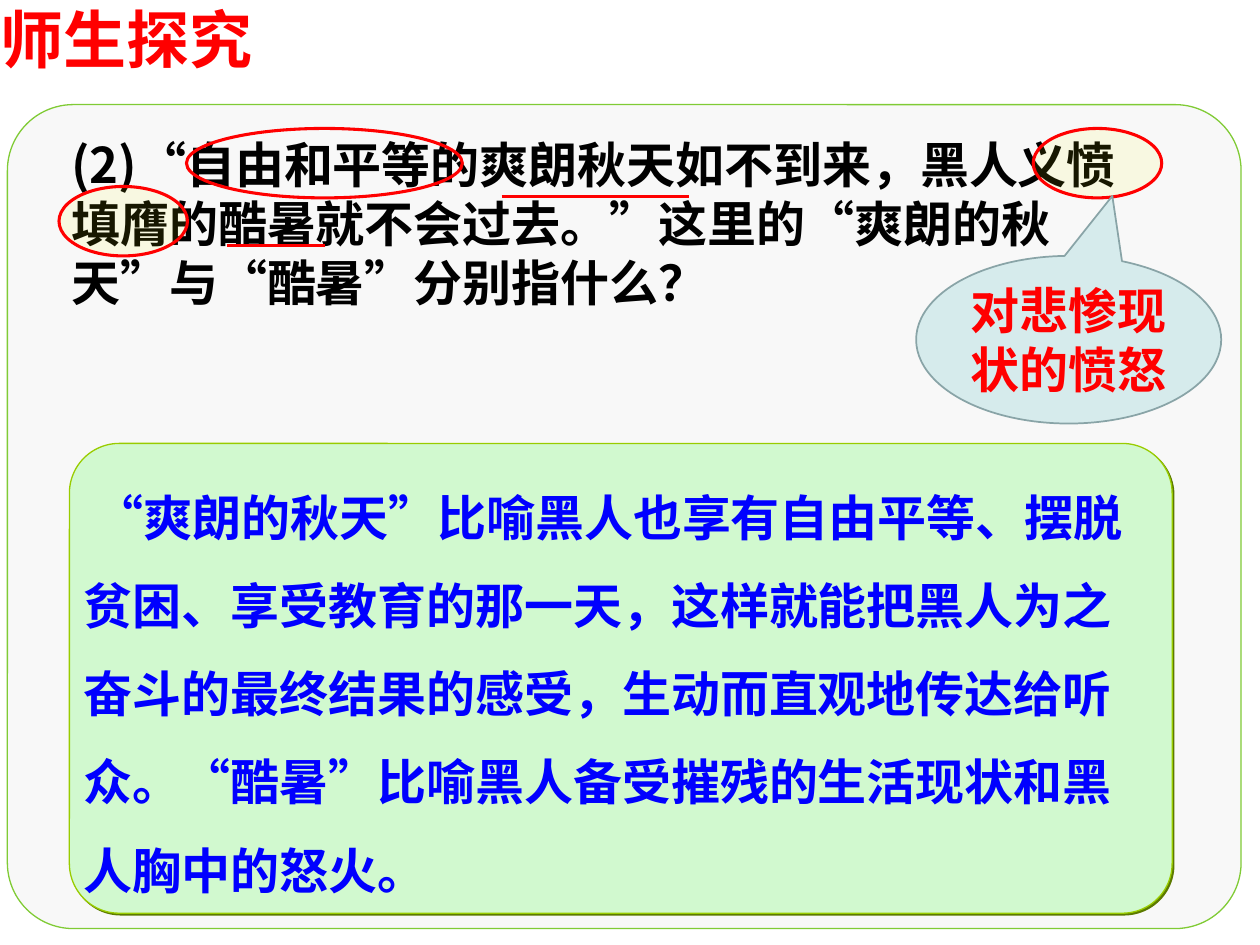
from lxml.etree import SubElement as Sub
from pptx import Presentation
from pptx.dml.color import RGBColor as Rgb
from pptx.enum.shapes import MSO_CONNECTOR as Link, MSO_SHAPE as Kind
from pptx.enum.text import MSO_ANCHOR as Anchor, MSO_AUTO_SIZE as Fit, PP_ALIGN as Align
from pptx.oxml import parse_xml
from pptx.oxml.ns import nsdecls, qn
from pptx.util import Cm, Pt

HUES = {
    "red": "FF0000", "blue": "0000FF", "black": "000000", "yellow": "FFFF00",
    "page": "F8F8F8", "rim": "80CB35", "mint": "D1F9CF", "lime": "99CC00",
    "moss": "5C7A00", "sky": "BBE0E3", "steel": "89A4A7", "grey": "808080",
}
SANS, CJK = "Arial", "Noto Sans CJK SC"


def hue(name):
    return Rgb.from_string(HUES[name])


def shade(color, dist):
    """Outer shadow towards the lower right, dist in points."""
    return parse_xml(
        f'<a:outerShdw {nsdecls("a")} dist="{Pt(dist)}" dir="2700000" algn="ctr" '
        f'rotWithShape="0"><a:srgbClr val="{HUES[color]}"/></a:outerShdw>')


class Board:
    def __init__(self, deck):
        self.slide = deck.slides.add_slide(deck.slide_layouts[5])
        self.items = self.slide.shapes

    def fill_text(self, shape, text, color, size=28, face=CJK, align=Align.LEFT,
                  anchor=Anchor.MIDDLE, pad=(0, 0), space=1.0, indent=0):
        frame = shape.text_frame
        frame.word_wrap, frame.auto_size = True, Fit.NONE
        frame.vertical_anchor = anchor
        frame.margin_left = frame.margin_right = Cm(pad[0])
        frame.margin_top = frame.margin_bottom = Cm(pad[1])
        para = frame.paragraphs[0]
        para.alignment, para.line_spacing = align, space
        if indent:
            para._p.get_or_add_pPr().set("indent", str(Cm(indent)))
        run = para.add_run()
        run.text = text
        font = run.font
        font.name, font.size, font.bold = face, Pt(size), True
        font.color.rgb = hue(color)
        props = run._r.get_or_add_rPr()
        props.set("lang", "zh-CN")
        Sub(props, qn("a:ea")).set("typeface", CJK)
        return props

    def title(self, text, box):
        shape = self.items.title
        shape.left, shape.top, shape.width, shape.height = map(Cm, box)
        props = self.fill_text(shape, text, "red", 36, SANS, anchor=Anchor.TOP)
        glow = parse_xml(f'<a:effectLst {nsdecls("a")}/>')
        glow.append(shade("grey", 2))
        props.find(qn("a:solidFill")).addnext(glow)

    def label(self, text, box, color, **style):
        self.fill_text(self.items.add_textbox(*map(Cm, box)), text, color, **style)

    def shape(self, kind, box, line, width, fill=None, alpha=100, adj=()):
        shape = self.items.add_shape(kind, *map(Cm, box))
        shape.shadow.inherit = False
        for i, value in enumerate(adj):
            shape.adjustments[i] = value
        shape.line.color.rgb, shape.line.width = hue(line), Pt(width)
        if fill is None:
            shape.fill.background()
            return shape
        shape.fill.solid()
        shape.fill.fore_color.rgb = hue(fill)
        if alpha < 100:
            tint = shape._element.spPr.find(qn("a:solidFill"))[0]
            Sub(tint, qn("a:alpha")).set("val", str(alpha * 1000))
        return shape

    def ring(self, box, fill=None):
        self.shape(Kind.OVAL, box, "red", 1.75, fill, 9)

    def rule(self, left, right, y):
        line = self.items.add_connector(
            Link.STRAIGHT, Cm(left), Cm(y), Cm(right), Cm(y))
        line.line.color.rgb, line.line.width = hue("red"), Pt(1.5)
        Sub(line._element.spPr, qn("a:effectLst"))


def main():
    deck = Presentation()
    deck.slide_width, deck.slide_height = Cm(25.4), Cm(19.05)
    board = Board(deck)

    board.title("师生探究", (0, 0, 8.51, 1.52))
    board.shape(Kind.ROUNDED_RECTANGLE, (0.15, 2.11, 24.87, 16.61),
                "rim", 0.75, "page", adj=[0.08])
    board.label("(2)“自由和平等的爽朗秋天如不到来，黑人义愤填膺的酷暑就不会过去。”"
                "这里的“爽朗的秋天”与“酷暑”分别指什么？",
                (1.19, 2.59, 22.43, 3.81), "black",
                anchor=Anchor.TOP, pad=(0.25, 0.13))

    board.rule(10.11, 13.89, 3.96)
    board.ring((3.76, 2.59, 5.56, 1.4))
    board.ring((20.83, 2.59, 2.59, 1.4), "yellow")
    board.rule(4.57, 6.55, 4.95)
    board.ring((1.19, 3.76, 2.59, 1.4), "yellow")

    note = board.shape(Kind.OVAL_CALLOUT, (18.47, 5.16, 6.15, 3.38),
                       "steel", 1, "sky", 54, [0.143, -0.858])
    board.fill_text(note, "对悲惨现状的愤怒", "red", face=SANS, align=Align.CENTER)

    answer = board.shape(Kind.ROUNDED_RECTANGLE, (1.4, 8.94, 22.23, 9.47),
                         "lime", 0.75, "mint", adj=[0.106])
    answer._element.spPr.find(qn("a:effectLst")).append(shade("moss", 1.4))
    board.fill_text(answer,
                    "“爽朗的秋天”比喻黑人也享有自由平等、摆脱贫困、享受教育的那一天，"
                    "这样就能把黑人为之奋斗的最终结果的感受，生动而直观地传达给听众。"
                    "“酷暑”比喻黑人备受摧残的生活现状和黑人胸中的怒火。",
                    "blue", space=1.5, indent=0.22)

    deck.save("out.pptx")


if __name__ == "__main__":
    main()
